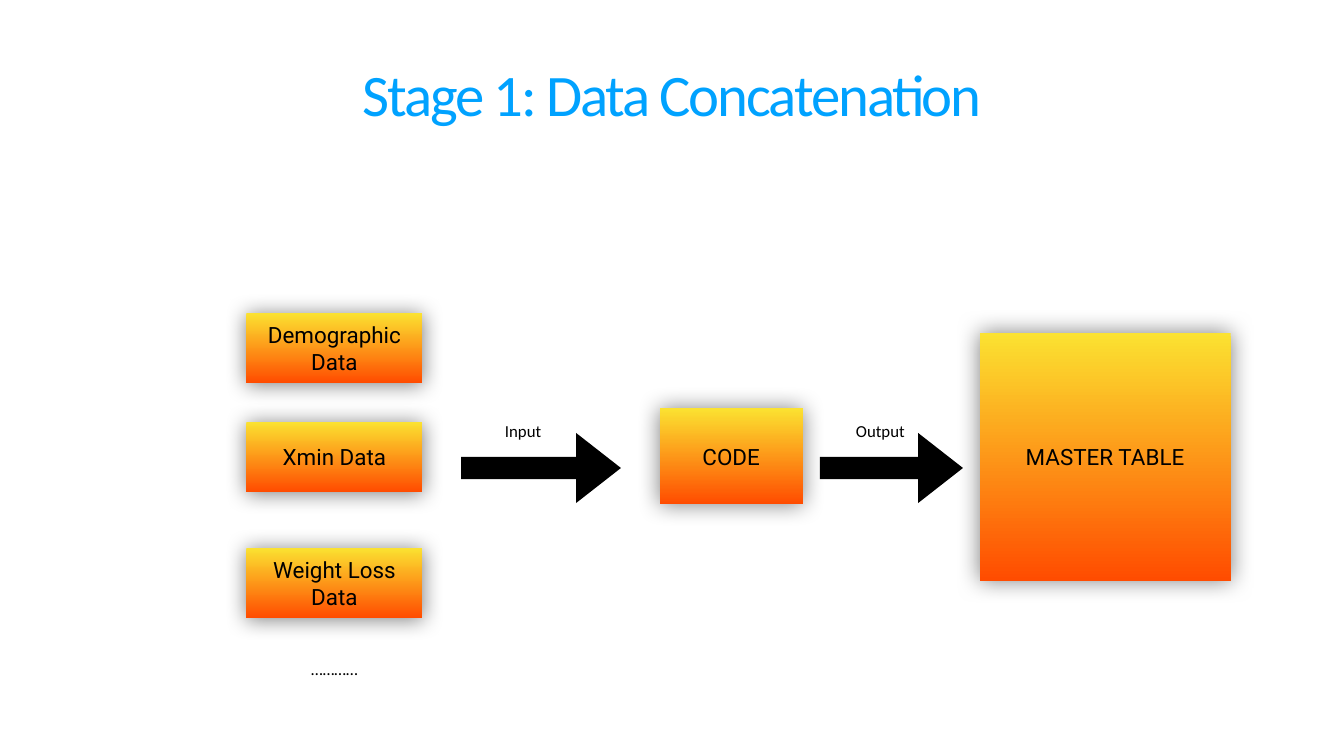
from dataclasses import dataclass

from lxml.etree import SubElement
from pptx import Presentation
from pptx.dml.color import RGBColor
from pptx.enum.shapes import MSO_SHAPE
from pptx.enum.text import MSO_ANCHOR, PP_ALIGN
from pptx.oxml.ns import qn
from pptx.util import Inches, Pt


@dataclass(frozen=True)
class Theme:
    title_color: RGBColor = RGBColor(0x00, 0xA2, 0xFF)
    ink: RGBColor = RGBColor(0x00, 0x00, 0x00)
    box_top: RGBColor = RGBColor(0xFB, 0xE2, 0x31)
    box_bottom: RGBColor = RGBColor(0xFF, 0x4C, 0x00)
    heading_font: str = "Calibri"
    box_font: str = "Roboto"
    title_size: Pt = Pt(84)
    box_size: Pt = Pt(32)
    label_size: Pt = Pt(24)
    inset: Inches = Inches(0.06)


THEME = Theme()
WIDTH, HEIGHT = Inches(26.67), Inches(15)


def place(box):
    """Turn left, top, width, height in percent of the slide into lengths."""
    return [round(share * side / 100) for share, side in zip(box, (WIDTH, HEIGHT) * 2)]


def write(shape, words, font, size, color, anchor=MSO_ANCHOR.MIDDLE, wrap=True):
    frame = shape.text_frame
    frame.word_wrap = wrap
    frame.vertical_anchor = anchor
    frame.margin_left = frame.margin_right = THEME.inset
    frame.margin_top = frame.margin_bottom = THEME.inset
    paragraph = frame.paragraphs[0]
    paragraph.alignment = PP_ALIGN.CENTER
    run = paragraph.add_run()
    run.text = words
    run.font.name, run.font.size = font, size
    run.font.color.rgb = color
    return paragraph


def add_title(slide, box, words):
    title = slide.shapes.add_textbox(*place(box))
    paragraph = write(title, words, THEME.heading_font, THEME.title_size,
                      THEME.title_color, MSO_ANCHOR.BOTTOM)
    paragraph.line_spacing = 0.8
    # Letter spacing of -3 pt
    paragraph.runs[0].font._element.set("spc", "-300")


def add_shadow(shape, blur, distance):
    shape.shadow.inherit = False
    effects = shape._element.spPr.find(qn("a:effectLst"))
    shadow = SubElement(effects, qn("a:outerShdw"), blurRad=str(Pt(blur)),
                        dist=str(Pt(distance)), dir="5400000", rotWithShape="0")
    color = SubElement(shadow, qn("a:srgbClr"), val=str(THEME.ink))
    SubElement(color, qn("a:alpha"), val="50000")


def add_block(slide, box, words, blur=33, distance=0):
    block = slide.shapes.add_shape(MSO_SHAPE.RECTANGLE, *place(box))
    block.fill.gradient()
    block.fill.gradient_angle = 270
    for stop, color in zip(block.fill.gradient_stops, (THEME.box_top, THEME.box_bottom)):
        stop.color.rgb = color
    block.line.fill.background()
    add_shadow(block, blur, distance)
    write(block, words, THEME.box_font, THEME.box_size, THEME.ink)


def add_label(slide, box, words):
    label = slide.shapes.add_textbox(*place(box))
    write(label, words, THEME.heading_font, THEME.label_size, THEME.ink, wrap=False)


def add_sources(slide, box):
    """Stack of data sets, ending in an ellipsis that stands for further ones."""
    left, top, width, height = box
    block_height = 9.27
    sources = (("Demographic Data", 0), ("Xmin Data", 14.4), ("Weight Loss Data", 31.07))
    for words, offset in sources:
        add_block(slide, (left, top + offset, width, block_height), words, 31, 2.1)
    more_width, more_height = 4.5, 3.6
    add_label(slide, (left + (width - more_width) / 2, top + height - more_height,
                      more_width, more_height), "…………")


def add_step(slide, box, words, label_left, label_width):
    """Arrow along the bottom of the box, with its label at the top."""
    left, top, width, height = box
    arrow_height = 9.27
    add_label(slide, (label_left, top, label_width, 3.6), words)
    arrow = slide.shapes.add_shape(
        MSO_SHAPE.RIGHT_ARROW, *place((left, top + height - arrow_height, width, arrow_height)))
    arrow.adjustments[0], arrow.adjustments[1] = 0.32, 0.64
    arrow.fill.solid()
    arrow.fill.fore_color.rgb = THEME.ink
    arrow.line.fill.background()
    arrow.shadow.inherit = False


def main():
    deck = Presentation()
    deck.slide_width, deck.slide_height = WIDTH, HEIGHT
    slide = deck.slides.add_slide(deck.slide_layouts[6])

    add_title(slide, (5.21, 5.93, 89.58, 11.33), "Stage 1: Data Concatenation")

    # Flow from the data sets through the code to the master table
    add_sources(slide, (18.34, 41.4, 13.09, 48.87))
    add_block(slide, (49.08, 54, 10.65, 12.73), "CODE")
    add_block(slide, (72.89, 44, 18.67, 32.8), "MASTER TABLE")
    add_step(slide, (34.31, 55.13, 11.89, 11.41), "Input", 37.16, 3.52)
    add_step(slide, (61, 55.13, 10.65, 11.41), "Output", 63.18, 4.65)

    deck.save("out.pptx")


if __name__ == "__main__":
    main()
